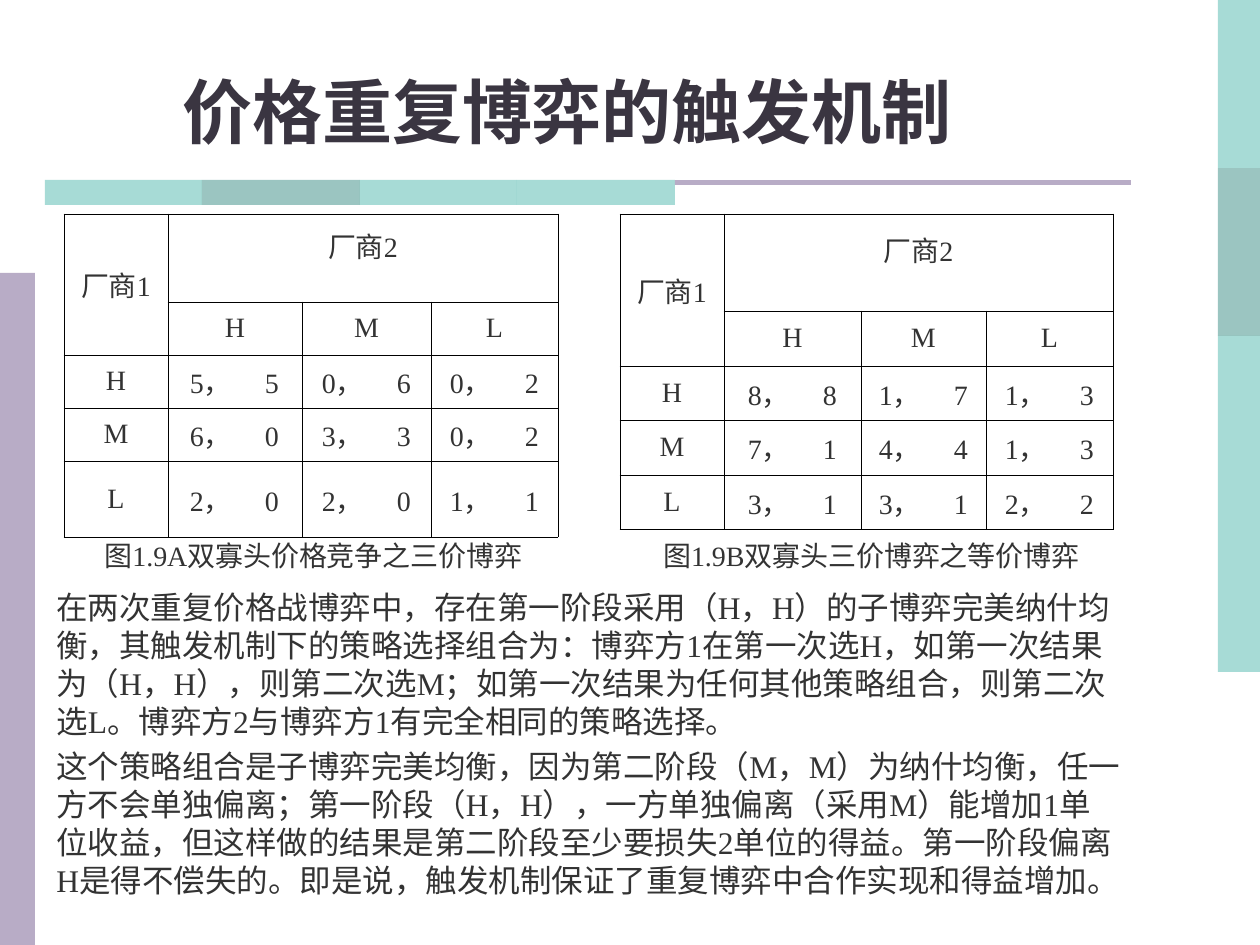
from dataclasses import dataclass

from lxml import etree
from pptx import Presentation
from pptx.dml.color import RGBColor
from pptx.enum.shapes import MSO_SHAPE
from pptx.enum.text import MSO_ANCHOR, MSO_AUTO_SIZE, PP_ALIGN
from pptx.oxml import parse_xml
from pptx.oxml.ns import nsdecls, qn
from pptx.util import Emu, Pt

RECT = MSO_SHAPE.RECTANGLE
MIDDLE, BOTTOM = MSO_ANCHOR.MIDDLE, MSO_ANCHOR.BOTTOM
LEFT, CENTER = PP_ALIGN.LEFT, PP_ALIGN.CENTER
FIXED = MSO_AUTO_SIZE.NONE


@dataclass(frozen=True)
class Theme:
    teal: str = "51B9AF"
    deep: str = "398D85"
    lilac: str = "B8ACC6"
    ink: str = "333333"
    head: str = "3A3541"
    rule: str = "000000"
    serif: str = "Times New Roman"
    sans: str = "Arial"
    title: int = 40
    body: int = 18
    small: int = 16


THEME = Theme()
SCALE = 914400 / 126
PAIR_W, PAIR_TAB = 89, 75
TEALS = [THEME.teal, THEME.deep, THEME.teal, THEME.teal]

MOVES = ["H", "M", "L"]
GAME_A = [[(5, 5), (0, 6), (0, 2)],
          [(6, 0), (3, 3), (0, 2)],
          [(2, 0), (2, 0), (1, 1)]]
GAME_B = [[(8, 8), (1, 7), (1, 3)],
          [(7, 1), (4, 4), (1, 3)],
          [(3, 1), (3, 1), (2, 2)]]
BODY = [
    "在两次重复价格战博弈中，存在第一阶段采用（H，H）的子博弈完美纳什均衡，"
    "其触发机制下的策略选择组合为：博弈方1在第一次选H，如第一次结果为（H，H），"
    "则第二次选M；如第一次结果为任何其他策略组合，则第二次选L。"
    "博弈方2与博弈方1有完全相同的策略选择。",
    "这个策略组合是子博弈完美均衡，因为第二阶段（M，M）为纳什均衡，"
    "任一方不会单独偏离；第一阶段（H，H），一方单独偏离（采用M）能增加1单位收益，"
    "但这样做的结果是第二阶段至少要损失2单位的得益。第一阶段偏离H是得不偿失的。"
    "即是说，触发机制保证了重复博弈中合作实现和得益增加。",
]


def px(n):
    return Emu(round(n * SCALE))


def add_run(para, text, size=THEME.small, face=THEME.serif, color=THEME.ink, bold=False):
    run = para.add_run()
    run.text = text
    font = run.font
    font.size, font.name, font.bold = Pt(size), face, bold
    font.color.rgb = RGBColor.from_string(color)


def add_bar(slide, box, color, alpha=100):
    bar = slide.shapes.add_shape(RECT, *map(px, box))
    bar.shadow.inherit = False
    bar.line.fill.background()
    bar.fill.solid()
    bar.fill.fore_color.rgb = RGBColor.from_string(color)
    if alpha < 100:
        tone = bar.fill._xPr.find(".//" + qn("a:srgbClr"))
        etree.SubElement(tone, qn("a:alpha")).set("val", str(alpha * 1000))


def add_strip(slide, box, down):
    """Split the box into equal half-clear bars, downwards or across."""
    x, y, w, h = box
    span = h if down else w
    ends = [i * span // len(TEALS) for i in range(len(TEALS) + 1)]
    for color, start, end in zip(TEALS, ends, ends[1:]):
        part = (x, y + start, w, end - start) if down else (x + start, y, end - start, h)
        add_bar(slide, part, color, 50)


def add_frame(slide):
    add_strip(slide, (1218, 0, 42, 672), True)
    add_bar(slide, (0, 273, 35, 672), THEME.lilac)
    add_strip(slide, (45, 180, 630, 25), False)
    add_bar(slide, (675, 180, 456, 5), THEME.lilac)


def set_title(slide, box, text):
    title = slide.shapes.title
    title.left, title.top, title.width, title.height = map(px, box)
    frame = title.text_frame
    frame.auto_size, frame.vertical_anchor = FIXED, BOTTOM
    para = frame.paragraphs[0]
    para.alignment = CENTER
    add_run(para, text, THEME.title, color=THEME.head, bold=True)


def style_cell(cell):
    props = cell._tc.get_or_add_tcPr()
    for side in "LRTB":
        props.append(parse_xml(
            f'<a:ln{side} {nsdecls("a")} w="5715"><a:solidFill>'
            f'<a:srgbClr val="{THEME.rule}"/></a:solidFill></a:ln{side}>'))
    cell.fill.background()
    cell.vertical_anchor = MIDDLE


def put_label(cell, text):
    para = cell.text_frame.paragraphs[0]
    para.alignment = CENTER
    add_run(para, text)


def put_pair(cell, pair, width):
    """Centre a payoff pair, with its second number on a tab stop."""
    cell.margin_left = px((width - PAIR_W) // 2)
    cell.margin_right = 0
    para = cell.text_frame.paragraphs[0]
    para.alignment = LEFT
    tabs = etree.SubElement(para._p.get_or_add_pPr(), qn("a:tabLst"))
    etree.SubElement(tabs, qn("a:tab"), pos=str(px(PAIR_TAB)), algn="l")
    add_run(para, f"{pair[0]}，\t{pair[1]}")


def add_game(slide, left, top, cols, rows, game):
    shape = slide.shapes.add_table(
        len(rows), len(cols), *map(px, (left, top, sum(cols), sum(rows))))
    table = shape.table
    table.first_row = table.horz_banding = False
    for col, width in zip(table.columns, cols):
        col.width = px(width)
    for row, height in zip(table.rows, rows):
        row.height = px(height)
    for cell in table.iter_cells():
        style_cell(cell)
    table.cell(0, 0).merge(table.cell(1, 0))
    table.cell(0, 1).merge(table.cell(0, 3))
    put_label(table.cell(0, 0), "厂商1")
    put_label(table.cell(0, 1), "厂商2")
    table.cell(0, 1).margin_bottom = px(32)
    for i, move in enumerate(MOVES):
        put_label(table.cell(1, i + 1), move)
        put_label(table.cell(i + 2, 0), move)
        for j, pair in enumerate(game[i], 1):
            put_pair(table.cell(i + 2, j), pair, cols[j])


def add_note(slide, box, parts, align):
    frame = slide.shapes.add_textbox(*map(px, box)).text_frame
    frame.word_wrap = False
    frame.vertical_anchor = MIDDLE
    para = frame.paragraphs[0]
    para.alignment = align
    for text, face in zip(parts, (THEME.sans, THEME.serif, THEME.sans)):
        add_run(para, text, face=face)


def add_body(slide, box):
    frame = slide.shapes.add_textbox(*map(px, box)).text_frame
    frame.word_wrap = True
    for i, text in enumerate(BODY):
        para = frame.add_paragraph() if i else frame.paragraphs[0]
        if i:
            para.space_before = Pt(4.5)
        add_run(para, text, THEME.body)


def main():
    deck = Presentation()
    deck.slide_width, deck.slide_height = px(1260), px(945)
    slide = deck.slides.add_slide(deck.slide_layouts[5])
    add_frame(slide)
    set_title(slide, (-1, 50, 1136, 109), "价格重复博弈的触发机制")
    add_game(slide, 64, 214, [104, 134, 129, 127], [88, 51, 50, 51, 76], GAME_A)
    add_note(slide, (92, 532, 462, 47), ("图", "1.9A双", "寡头价格竞争之三价博弈"), LEFT)
    add_game(slide, 620, 214, [104, 137, 125, 127], [97, 55, 54, 55, 55], GAME_B)
    add_note(slide, (644, 532, 455, 47), ("图", "1.9B双寡头", "三价博弈之等价博弈"), CENTER)
    add_body(slide, (44, 582, 1090, 362))
    deck.save("out.pptx")


if __name__ == "__main__":
    main()
